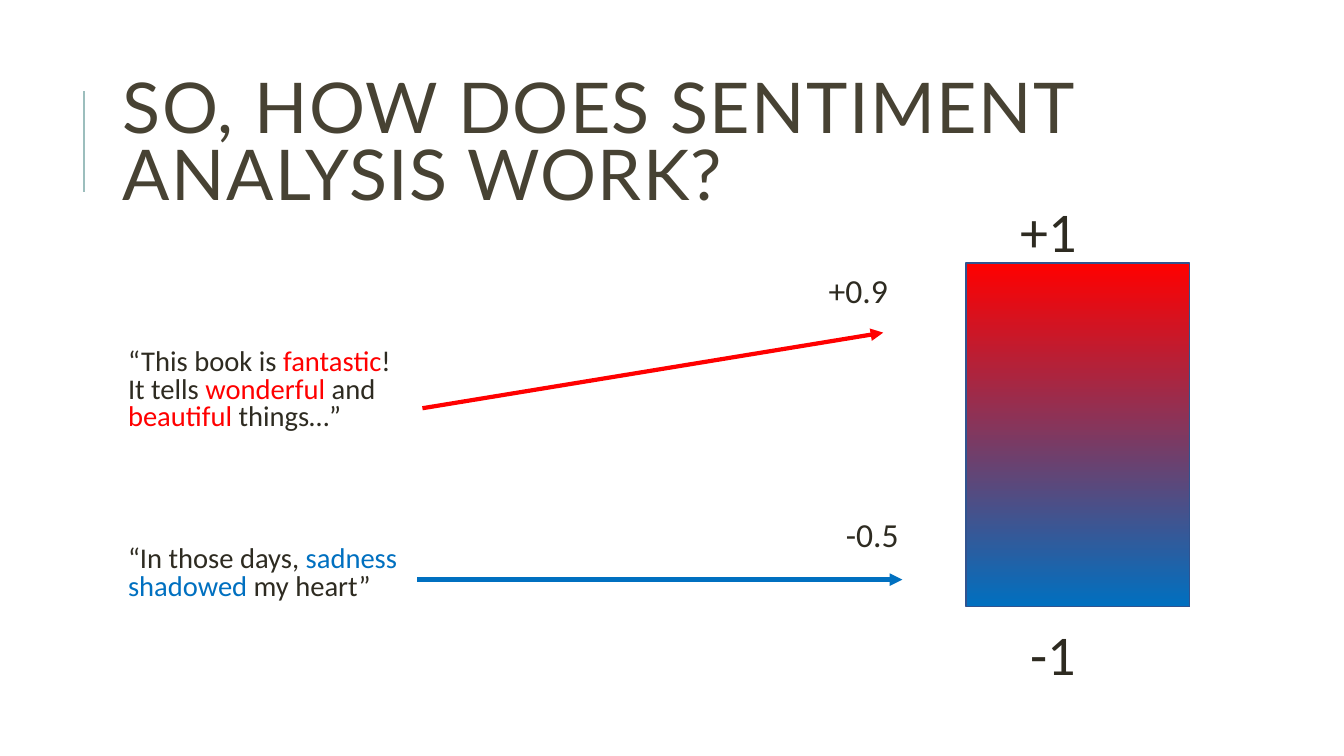
from pptx import Presentation
from pptx.dml.color import RGBColor
from pptx.enum.shapes import MSO_CONNECTOR, MSO_SHAPE
from pptx.enum.text import MSO_ANCHOR
from pptx.oxml.ns import qn
from pptx.util import Inches, Pt
from lxml import etree

STRAIGHT = MSO_CONNECTOR.STRAIGHT
RECTANGLE = MSO_SHAPE.RECTANGLE
MIDDLE = MSO_ANCHOR.MIDDLE

INK = "2E2B21"
POSITIVE = "FF0000"
NEGATIVE = "0070C0"


def rgb(value):
    return RGBColor.from_string(value)


def add_text(box, paragraphs, size, font="Calibri"):
    """Add a text box; each paragraph is a list of (text, colour) runs, where a newline breaks the line."""
    tf = s.shapes.add_textbox(*map(Inches, box)).text_frame
    tf.word_wrap = True
    for i, runs in enumerate(paragraphs):
        p = tf.add_paragraph() if i else tf.paragraphs[0]
        for text, color in runs:
            if text == "\n":
                p.add_line_break()
                continue
            r = p.add_run()
            r.text = text
            r.font.size = Pt(size)
            r.font.name = font
            r.font.color.rgb = rgb(color)
    return tf


prs = Presentation()
prs.slide_width, prs.slide_height = Inches(13.33), Inches(7.5)
s = prs.slides.add_slide(prs.slide_layouts[6])

# Sentiment scale
scale = s.shapes.add_shape(RECTANGLE, Inches(9.58), Inches(2.61), Inches(2.22), Inches(3.41))
scale.shadow.inherit = False
scale.fill.gradient()
scale.fill.gradient_angle = 270
for stop, color, position in zip(scale.fill.gradient_stops, (POSITIVE, NEGATIVE), (0, 1)):
    stop.color.rgb = rgb(color)
    stop.position = position
scale.line.color.rgb = rgb("31538F")
scale.line.width = Pt(1)

# Title rule and score arrows
for start, end, color, width, arrow in [
    ((0.83, 1.9), (0.83, 0.9), "9CBEBD", 1.5, False),
    ((4.19, 4.05), (8.76, 3.3), POSITIVE, 3, True),
    ((4.14, 5.75), (8.95, 5.75), NEGATIVE, 3, True),
]:
    line = s.shapes.add_connector(STRAIGHT, *map(Inches, start + end))
    line.line.color.rgb = rgb(color)
    line.line.width = Pt(width)
    if arrow:
        etree.SubElement(line.line._get_or_add_ln(), qn("a:tailEnd"), type="triangle")
    etree.SubElement(line._element.spPr, qn("a:effectLst"))

# Scores and scale ends
for text, size, box in [
    ("+0.9", 24, (8.12, 2.63, 0.96, 0.4)),
    ("-0.5", 24, (8.29, 5.05, 0.79, 0.4)),
    ("+1", 40, (10.02, 1.9, 1.25, 0.44)),
    ("-1", 40, (10.12, 6.1, 1.25, 0.44)),
]:
    add_text(box, [[(text, INK)]], size)

# Title
title = add_text((1.12, 0.64, 10.63, 1.64),
                 [[("SO, HOW DOES SENTIMENT ANALYSIS WORK?", "474233")]], 50, "Lato")
title.vertical_anchor = MIDDLE
title.paragraphs[0].line_spacing = 0.8
title.paragraphs[0].runs[0].font._element.set("spc", "100")

# Example sentences
quotes = add_text((1.12, 3.42, 2.97, 2.68), [
    [("“This book is ", INK), ("fantastic", POSITIVE), ("!", INK), ("\n", INK),
     ("It tells ", INK), ("wonderful", POSITIVE), (" and ", INK),
     ("beautiful", POSITIVE), (" things…”", INK)],
    [("“In those days, ", INK), ("sadness shadowed", NEGATIVE), (" my heart”", INK)],
], 20.4)
quotes.margin_left = Inches(0.15)
quotes.margin_right = Inches(0.05)
for p, gap in zip(quotes.paragraphs, (0, 80)):
    p.line_spacing = 0.8
    p.space_before = Pt(gap)
    p.space_after = Pt(2)

prs.save("out.pptx")
